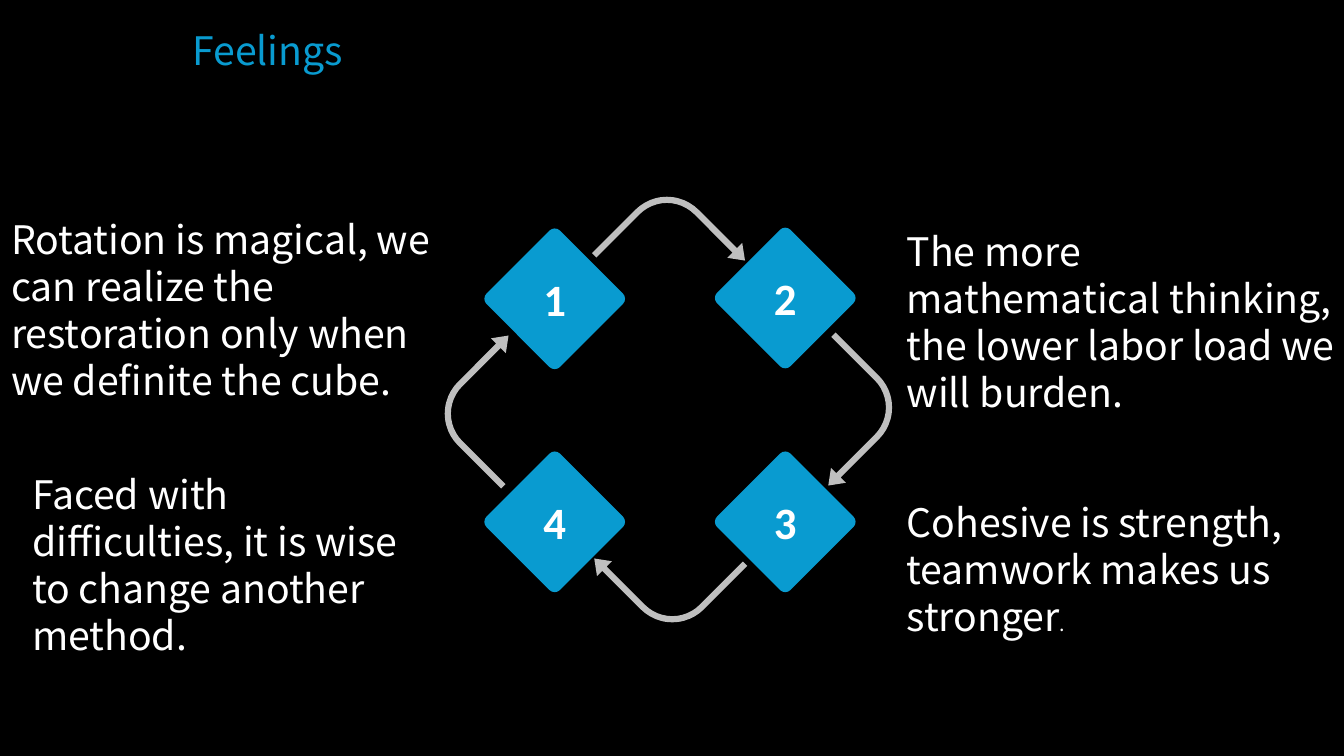
from lxml import etree
from pptx import Presentation
from pptx.dml.color import RGBColor
from pptx.enum import shapes, text
from pptx.oxml.ns import qn
from pptx.util import Cm, Pt

BLACK = RGBColor(0x00, 0x00, 0x00)
BLUE = RGBColor(0x09, 0x9B, 0xD0)
GREY = RGBColor(0xBF, 0xBF, 0xBF)
WHITE = RGBColor(0xFF, 0xFF, 0xFF)
BODY_FONT = "Noto Sans CJK SC"
NUMBER_FONT = "Calibri"

DIAMOND_HALF = 1.79
# Distance inwards and sideways from the tip: start, two handles, end
CORNER_CURVE = [(0.07, -0.13), (0, -0.06), (0, 0.06), (0.07, 0.13)]
ARROW_SIZE = 2.86

# Number, centre x, centre y (cm), clockwise from top left
DIAMONDS = [
    ("1", 13.98, 7.53),
    ("2", 19.79, 7.51),
    ("3", 19.79, 13.15),
    ("4", 13.98, 13.15),
]
# Left, top (cm), clockwise from the top
ARROWS = [(15.51, 4.95), (19.63, 8.97), (15.38, 12.83), (11.2, 8.86)]
# Left, top, width, height (cm), runs with their sizes
FEELINGS = [
    (0.03, 5.3, 11.28, 5.05,
     [("Rotation is magical, we can realize the restoration only when "
       "we definite the cube.", 28)]),
    (22.6, 5.6, 11.33, 3.86,
     [("The more mathematical thinking, the lower labor load we will burden.", 28)]),
    (22.6, 12.42, 12.29, 3.86,
     [("Cohesive is strength, teamwork makes us stronger", 28), (".", 14)]),
    (0.56, 11.73, 10.36, 3.86,
     [("Faced with difficulties, it is wise to change another method.", 28)]),
]


def add_run(paragraph, words, size, font_name, color):
    run = paragraph.add_run()
    run.text = words
    run.font.size = Pt(size)
    run.font.name = font_name
    run.font.color.rgb = color
    return run


def paint(shape, color):
    shape.shadow.inherit = False
    shape.fill.solid()
    shape.fill.fore_color.rgb = color
    shape.line.fill.background()


def format_title(slide):
    title = slide.shapes.title
    title.left, title.top = Cm(4.85), Cm(0.66)
    title.width, title.height = Cm(7.87), Cm(1.27)
    frame = title.text_frame
    frame.margin_left = frame.margin_right = 0
    frame.margin_top = frame.margin_bottom = 0
    frame.vertical_anchor = text.MSO_ANCHOR.TOP
    frame.auto_size = text.MSO_AUTO_SIZE.NONE
    paragraph = frame.paragraphs[0]
    paragraph.alignment = text.PP_ALIGN.JUSTIFY
    add_run(paragraph, "Feelings", 28, BODY_FONT, BLUE)


def add_arrow(slide, left, top, rotation):
    arrow = slide.shapes.add_shape(
        shapes.MSO_SHAPE.BENT_ARROW, Cm(left), Cm(top), Cm(ARROW_SIZE), Cm(ARROW_SIZE))
    for index, value in enumerate((0.055, 0.093, 0.127, 0.395)):
        arrow.adjustments[index] = value
    arrow.rotation = rotation
    paint(arrow, GREY)


def curve_corners(diamond):
    """Join the three segments at each corner into one Bézier curve."""
    segments = list(diamond._element.iter(qn("a:lnTo")))
    for first in range(0, len(segments), 4):
        curve = etree.Element(qn("a:cubicBezTo"))
        segments[first].addprevious(curve)
        for segment in segments[first:first + 3]:
            curve.append(segment[0])
            segment.getparent().remove(segment)


def add_diamond(slide, number, center_x, center_y):
    points = []
    for cosine, sine in ((1, 0), (0, 1), (-1, 0), (0, -1)):
        for inwards, sideways in CORNER_CURVE:
            reach = DIAMOND_HALF - inwards
            x = center_x + reach * cosine - sideways * sine
            y = center_y + reach * sine + sideways * cosine
            points.append((Cm(x), Cm(y)))
    builder = slide.shapes.build_freeform(*points[0])
    builder.add_line_segments(points[1:], close=True)
    diamond = builder.convert_to_shape()
    curve_corners(diamond)
    paint(diamond, BLUE)
    frame = diamond.text_frame
    frame.vertical_anchor = text.MSO_ANCHOR.MIDDLE
    paragraph = frame.paragraphs[0]
    paragraph.alignment = text.PP_ALIGN.CENTER
    add_run(paragraph, number, 32, NUMBER_FONT, WHITE).font.bold = True


def add_feeling(slide, left, top, width, height, runs):
    box = slide.shapes.add_textbox(Cm(left), Cm(top), Cm(width), Cm(height))
    frame = box.text_frame
    frame.word_wrap = True
    paragraph = frame.paragraphs[0]
    for words, size in runs:
        add_run(paragraph, words, size, BODY_FONT, WHITE)


def main():
    presentation = Presentation()
    presentation.slide_width, presentation.slide_height = Cm(33.87), Cm(19.05)
    slide = presentation.slides.add_slide(presentation.slide_layouts[5])
    slide.background.fill.solid()
    slide.background.fill.fore_color.rgb = BLACK

    format_title(slide)
    for index, (left, top) in enumerate(ARROWS):
        add_arrow(slide, left, top, 45 + 90 * index)
    for diamond in DIAMONDS:
        add_diamond(slide, *diamond)
    for feeling in FEELINGS:
        add_feeling(slide, *feeling)
    presentation.save("out.pptx")


if __name__ == "__main__":
    main()
